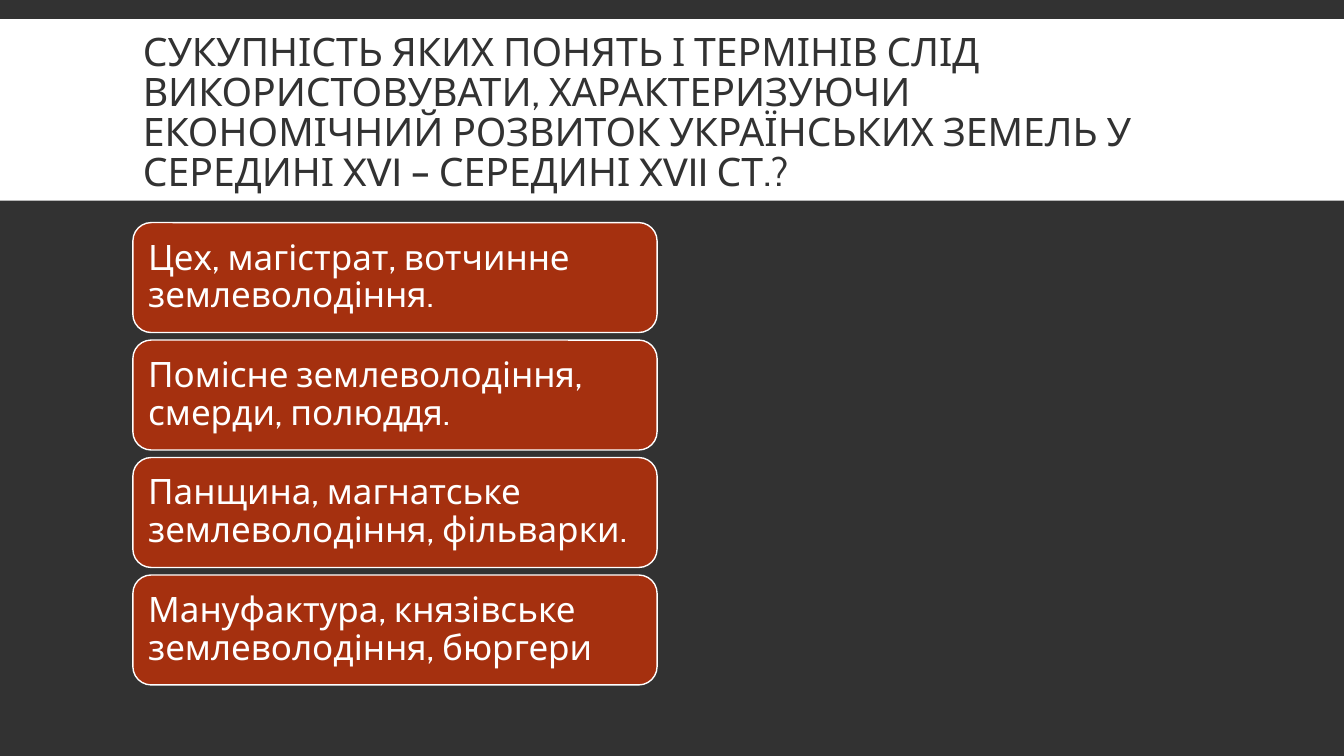
from pptx import Presentation
from pptx.dml.color import RGBColor
from pptx.enum.shapes import MSO_SHAPE
from pptx.enum.text import MSO_ANCHOR, MSO_AUTO_SIZE, PP_ALIGN
from pptx.util import Cm, Pt

TITLE = ("СУКУПНІСТЬ ЯКИХ ПОНЯТЬ І ТЕРМІНІВ СЛІД ВИКОРИСТОВУВАТИ, "
         "ХАРАКТЕРИЗУЮЧИ ЕКОНОМІЧНИЙ РОЗВИТОК УКРАЇНСЬКИХ ЗЕМЕЛЬ "
         "У СЕРЕДИНІ XVI – СЕРЕДИНІ XVII СТ.?")
TERMS = [
    "Цех, магістрат, вотчинне землеволодіння.",
    "Помісне землеволодіння, смерди, полюддя.",
    "Панщина, магнатське землеволодіння, фільварки.",
    "Мануфактура, князівське землеволодіння, бюргери",
]
DARK, WHITE, RUST = "323232", "FFFFFF", "A5300F"
LEFT, TOP, WIDTH, HEIGHT, STEP = 3.35, 5.61, 13.21, 2.77, 2.96


def paint(target, color):
    target.solid()
    target.fore_color.rgb = RGBColor.from_string(color)


def write(shape, text, size, color, spacing, inset=0.25):
    frame = shape.text_frame
    frame.auto_size = MSO_AUTO_SIZE.NONE
    frame.word_wrap = True
    frame.vertical_anchor = MSO_ANCHOR.MIDDLE
    frame.margin_left = frame.margin_right = Cm(inset)
    frame.margin_top = frame.margin_bottom = Cm(inset / 2)
    frame.text = text
    para = frame.paragraphs[0]
    para.alignment = PP_ALIGN.LEFT
    para.line_spacing = spacing
    para.space_before = Pt(0)
    font = para.runs[0].font
    font.name = "Cabin"
    font.size = Pt(size)
    font.color.rgb = RGBColor.from_string(color)


def block(slide, kind, left, top, width, height, color):
    shape = slide.shapes.add_shape(kind, Cm(left), Cm(top), Cm(width), Cm(height))
    shape.shadow.inherit = False
    paint(shape.fill, color)
    shape.line.fill.background()
    return shape


def main():
    deck = Presentation()
    deck.slide_width, deck.slide_height = Cm(33.87), Cm(19.05)
    slide = deck.slides.add_slide(deck.slide_layouts[5])
    paint(slide.background.fill, DARK)

    title = slide.shapes.title
    band = block(slide, MSO_SHAPE.RECTANGLE, 0, 0.48, 33.87, 4.58, WHITE)
    title._element.addprevious(band._element)
    title.left, title.top = Cm(LEFT), Cm(0.79)
    title.width, title.height = Cm(27.18), Cm(4.19)
    write(title, TITLE, size=28, color=DARK, spacing=0.85)

    for row, term in enumerate(TERMS):
        card = block(slide, MSO_SHAPE.ROUNDED_RECTANGLE,
                     LEFT, TOP + row * STEP, WIDTH, HEIGHT, RUST)
        paint(card.line.fill, WHITE)
        card.line.width = Pt(1)
        write(card, term, size=25, color=WHITE, spacing=0.9)

    deck.save("out.pptx")


if __name__ == "__main__":
    main()
